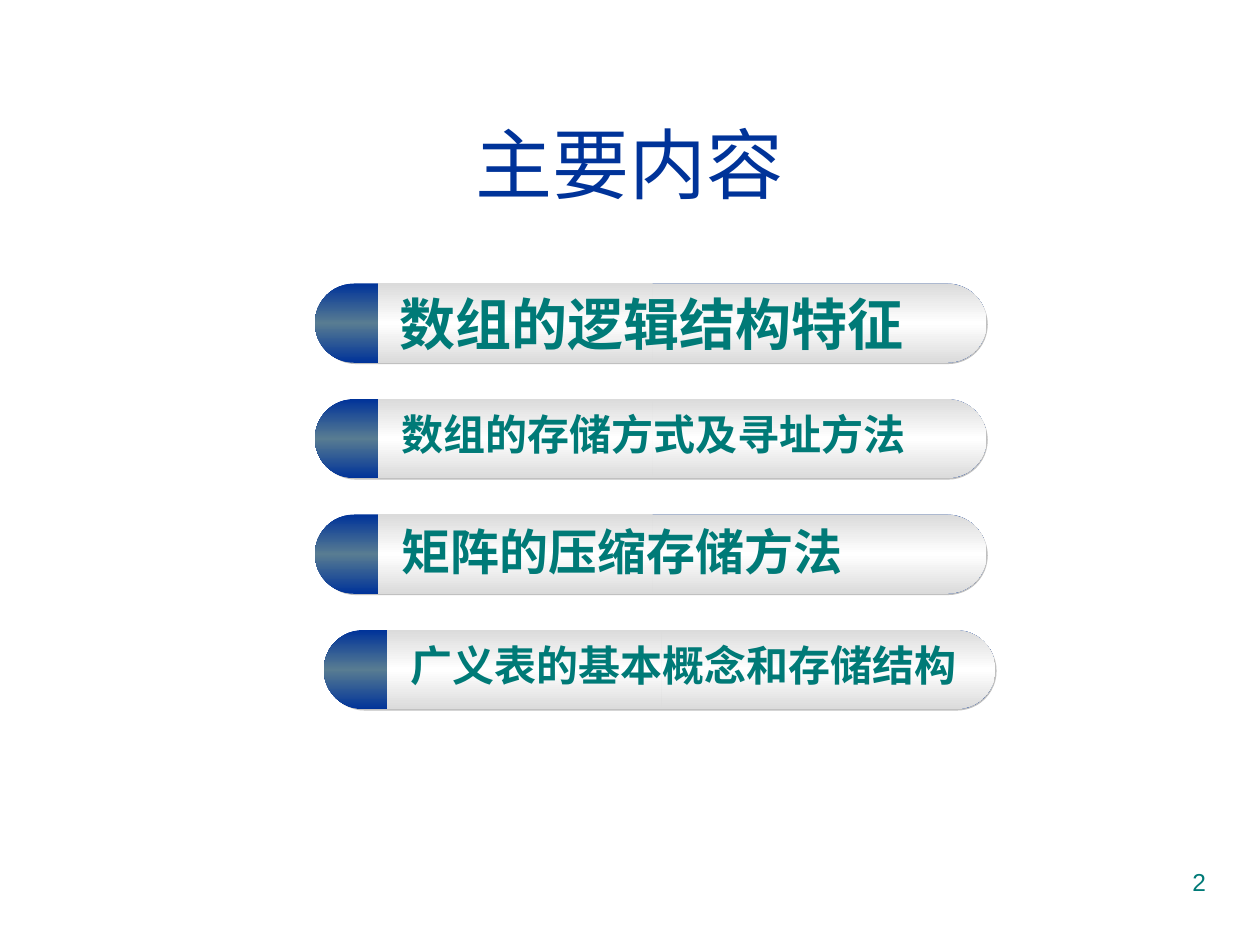
import copy
from dataclasses import dataclass

import pptx
import pptx.dml.color
import pptx.enum.shapes
import pptx.enum.text
import pptx.oxml
import pptx.oxml.ns
import pptx.util

Inches = pptx.util.Inches
Align = pptx.enum.text.PP_ALIGN
Anchor = pptx.enum.text.MSO_ANCHOR

COLORS = {
    "blue": "003399",
    "steel": "587C92",
    "gray": "DBDBDB",
    "white": "FFFFFF",
    "shade": "C0C0C0",
    "teal": "007A77",
}
SANS = "Arial"
HAN = "Noto Sans CJK SC"
TOP = 2.25
STEP = 2.75 / 3
HIGH = 0.63
WIDE = 5.33


@dataclass
class Topic:
    text: str
    size: int
    left: float = 2.5
    inset: float = 0.67


TOPICS = [
    Topic("数组的逻辑结构特征", 32, inset=0.65),
    Topic("数组的存储方式及寻址方法", 24),
    Topic("矩阵的压缩存储方法", 28),
    Topic("广义表的基本概念和存储结构", 24, left=2.57),
]


def color(name: str) -> pptx.dml.color.RGBColor:
    return pptx.dml.color.RGBColor.from_string(COLORS[name])


def style(para, text: str, size: int, face: str, tint: str, bold: bool = False) -> None:
    para.text = text
    font = para.font
    font.size = pptx.util.Pt(size)
    font.name = face
    font.bold = bold
    font.color.rgb = color(tint)


def blend(shape, edge: str, middle: str) -> None:
    shape.fill.gradient()
    shape.fill.gradient_angle = 90
    first = shape.fill.gradient_stops
    stops = shape._element.spPr.find(".//" + pptx.oxml.ns.qn("a:gsLst"))
    while len(first) < 3:
        stops.append(copy.deepcopy(stops[0]))
        first = shape.fill.gradient_stops
    for stop, place, tint in zip(first, (0, 0.5, 1), (edge, middle, edge)):
        stop.position = place
        stop.color.rgb = color(tint)


def add_bar(shapes, left: float, top: float, width: float, curve: float = 0.5):
    bar = shapes.add_shape(
        pptx.enum.shapes.MSO_SHAPE.ROUNDED_RECTANGLE,
        Inches(left), Inches(top), Inches(width), Inches(HIGH),
    )
    bar.adjustments[0] = curve
    bar.shadow.inherit = False
    bar.line.fill.background()
    return bar


def add_topic(slide, topic: Topic, top: float) -> None:
    shapes = slide.shapes.add_group_shape().shapes
    left = topic.left
    shade = add_bar(shapes, left + 0.01, top + 0.01, WIDE)
    shade.fill.solid()
    shade.fill.fore_color.rgb = color("shade")
    blend(add_bar(shapes, left, top, WIDE), "blue", "steel")
    blend(add_bar(shapes, left + 0.94, top, 4.39), "gray", "white")
    blend(add_bar(shapes, left + 0.5, top, 2.18, 0), "gray", "white")

    box = slide.shapes.add_textbox(
        Inches(left + topic.inset), Inches(top + 0.14),
        Inches(4.5), Inches(topic.size * 0.014),
    )
    frame = box.text_frame
    frame.word_wrap = True
    frame.auto_size = pptx.enum.text.MSO_AUTO_SIZE.SHAPE_TO_FIT_TEXT
    frame.margin_left = frame.margin_right = Inches(0.02)
    frame.margin_top = frame.margin_bottom = Inches(0.01)
    para = frame.paragraphs[0]
    para.line_spacing = 0.8
    style(para, topic.text, topic.size, HAN, "teal", True)
    props = para._p.pPr.find(pptx.oxml.ns.qn("a:defRPr"))
    latin = props.find(pptx.oxml.ns.qn("a:latin"))
    asian = pptx.oxml.parse_xml(
        f'<a:ea {pptx.oxml.ns.nsdecls("a")} typeface="{HAN}"/>'
    )
    latin.addnext(asian)


def add_title(slide) -> None:
    title = slide.shapes.title
    title.left, title.top = Inches(0.33), Inches(0.67)
    title.width, title.height = Inches(9.34), Inches(1.25)
    title.text_frame.vertical_anchor = Anchor.MIDDLE
    para = title.text_frame.paragraphs[0]
    para.alignment = Align.CENTER
    style(para, "主要内容", 44, SANS, "blue")


def add_number(slide) -> None:
    box = slide.shapes.add_textbox(
        Inches(7.17), Inches(6.83), Inches(2.5), Inches(0.52)
    )
    box.text_frame.word_wrap = True
    para = box.text_frame.paragraphs[0]
    para.alignment = Align.RIGHT
    style(para, "2", 14, SANS, "teal")


def main() -> None:
    deck = pptx.Presentation()
    deck.slide_width, deck.slide_height = Inches(10), Inches(7.5)
    slide = deck.slides.add_slide(deck.slide_layouts[5])
    add_title(slide)
    for row, topic in enumerate(TOPICS):
        add_topic(slide, topic, TOP + row * STEP)
    add_number(slide)
    deck.save("out.pptx")


if __name__ == "__main__":
    main()
